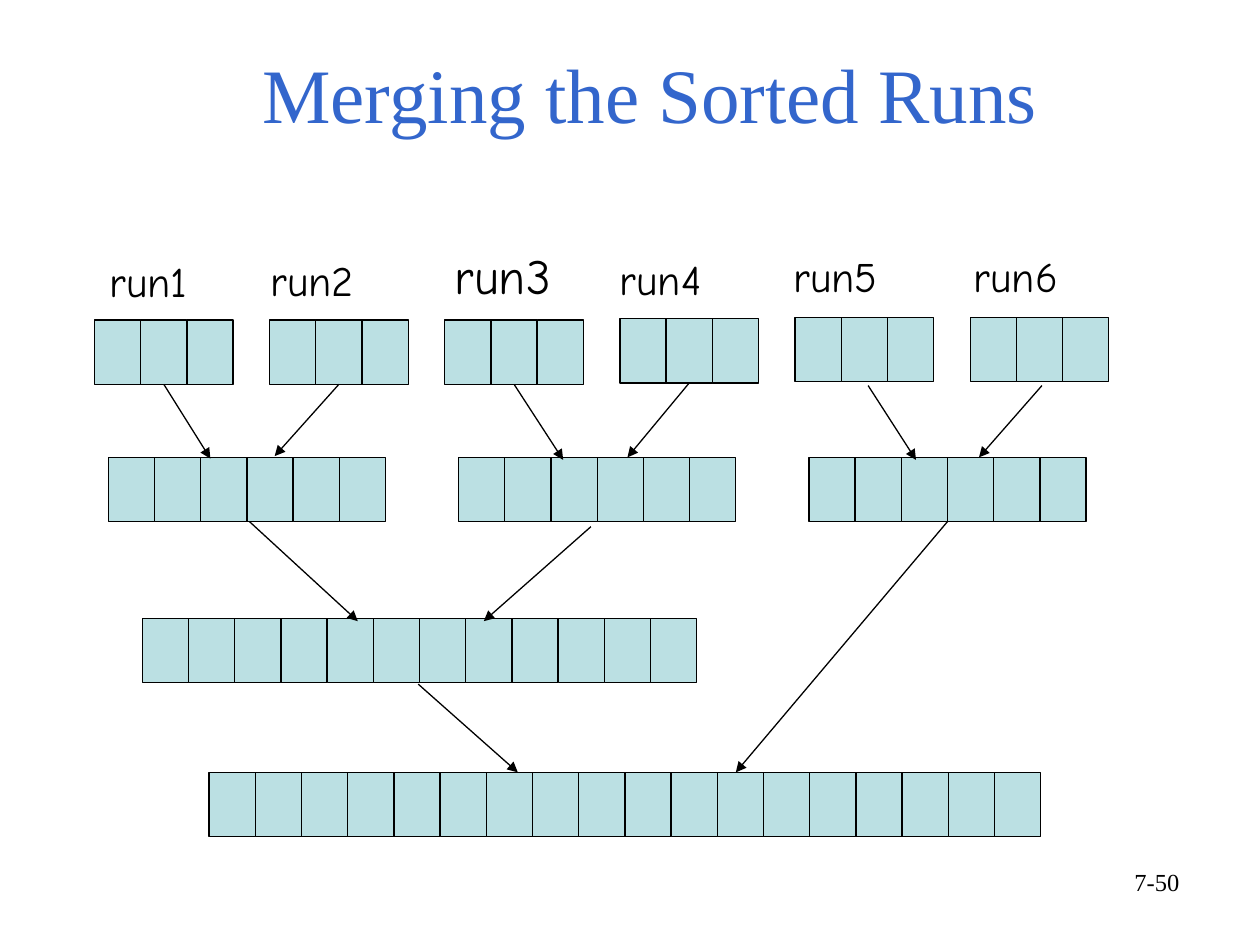
from lxml import etree
from pptx import Presentation
from pptx.dml.color import RGBColor
from pptx.enum.shapes import MSO_CONNECTOR, MSO_SHAPE
from pptx.enum.text import MSO_ANCHOR, MSO_AUTO_SIZE, PP_ALIGN
from pptx.oxml.ns import qn
from pptx.util import Inches, Pt

RECTANGLE = MSO_SHAPE.RECTANGLE
STRAIGHT = MSO_CONNECTOR.STRAIGHT
LEFT, CENTER, RIGHT = PP_ALIGN.LEFT, PP_ALIGN.CENTER, PP_ALIGN.RIGHT
TOP, BOTTOM = MSO_ANCHOR.TOP, MSO_ANCHOR.BOTTOM
FIXED, GROW = MSO_AUTO_SIZE.NONE, MSO_AUTO_SIZE.SHAPE_TO_FIT_TEXT
BOTTOM_SIDE = 2

BLOCK_CELLS = 3
BLOCK_WIDTH = 1.1
CELL_WIDTH = BLOCK_WIDTH / BLOCK_CELLS
CELL_HEIGHT = 0.51
RUN_LEFT, RUN_PITCH = 0.75, 1.39
RUN_TOPS = (2.54, 2.54, 2.54, 2.53, 2.52, 2.52)
PAIR_LEFT, PAIR_TOP = 0.86, 3.63
LABELS = (
    (0.77, 1.98, 1.52, 0.5, 24),
    (2.05, 1.97, 1.37, 0.5, 24),
    (3.51, 1.9, 1.37, 0.57, 28),
    (4.82, 1.96, 1.37, 0.5, 24),
    (6.2, 1.94, 1.37, 0.5, 24),
    (7.63, 1.94, 1.37, 0.5, 24),
)
RUN_ARROWS = (
    (1.29, 3.05, 1.67, 3.64),
    (2.67, 3.05, 2.18, 3.62),
    (4.09, 3.06, 4.47, 3.65),
    (5.47, 3.06, 4.98, 3.63),
    (6.89, 3.06, 7.27, 3.65),
    (8.27, 3.06, 7.77, 3.63),
)
JOINED_RUNS = 4
MERGE_ARROWS = (
    (1.98, 4.14, 2.84, 4.93),
    (4.69, 4.18, 3.84, 4.93),
    (3.32, 5.43, 4.11, 6.13),
    (7.52, 4.14, 5.84, 6.13),
)


def color(value):
    """Turn a hex string into a colour."""
    return RGBColor.from_string(value)


def apply_format(target, values):
    """Set each named attribute on the target."""
    for name, value in values.items():
        setattr(target, name, value)


def style_line(line):
    """Give an outline or arrow its thin black stroke."""
    line.color.rgb = color("000000")
    line.width = Pt(0.75)


def add_cell(group, left, top):
    """Add one record cell and return it."""
    cell = group.shapes.add_shape(
        RECTANGLE, *map(Inches, (left, top, CELL_WIDTH, CELL_HEIGHT))
    )
    cell.shadow.inherit = False
    cell.fill.solid()
    cell.fill.fore_color.rgb = color("BBE0E3")
    style_line(cell.line)
    return cell


def add_blocks(slide, left, top, count):
    """Add a row of grouped three-cell blocks and return its cells."""
    cells = []
    for block in range(count):
        group = slide.shapes.add_group_shape()
        for column in range(BLOCK_CELLS):
            offset = block * BLOCK_WIDTH + column * CELL_WIDTH
            cells.append(add_cell(group, left + offset, top))
    return cells


def add_arrow(slide, ends, source=None):
    """Add an arrow, joined to the source cell's bottom when one is given."""
    arrow = slide.shapes.add_connector(STRAIGHT, *map(Inches, ends))
    if source is not None:
        arrow.begin_connect(source, BOTTOM_SIDE)
    style_line(arrow.line)
    properties = arrow.line._get_or_add_ln()
    etree.SubElement(properties, qn("a:tailEnd"), type="triangle")
    etree.SubElement(arrow._element.spPr, qn("a:effectLst"))


def add_text(slide, words, place, font, size, ink="000000", align=LEFT, **frame_values):
    """Add a wrapping one-paragraph text box."""
    box = slide.shapes.add_textbox(*map(Inches, place))
    frame = box.text_frame
    apply_format(frame, {"word_wrap": True, "auto_size": FIXED,
                         "vertical_anchor": TOP, **frame_values})
    para = frame.paragraphs[0]
    para.alignment = align
    span = para.add_run()
    span.text = words
    apply_format(span.font, {"name": font, "size": Pt(size)})
    span.font.color.rgb = color(ink)


def main():
    """Build and save the merge diagram."""
    deck = Presentation()
    apply_format(deck, {"slide_width": Inches(10), "slide_height": Inches(7.5)})
    page = deck.slides.add_slide(deck.slide_layouts[6])

    add_text(page, "Merging the Sorted Runs", (0.75, 0.27, 8.82, 0.86),
             "Times New Roman", 44, "3366CC", CENTER,
             vertical_anchor=BOTTOM, margin_bottom=Inches(0.03))

    runs = [add_blocks(page, RUN_LEFT + index * RUN_PITCH, top, 1)
            for index, top in enumerate(RUN_TOPS)]
    for index in range(len(runs) // 2):
        add_blocks(page, PAIR_LEFT + index * 2 * RUN_PITCH, PAIR_TOP, 2)
    add_blocks(page, 1.13, 4.91, 4)
    add_blocks(page, 1.66, 6.13, 6)

    for number, (*place, size) in enumerate(LABELS, start=1):
        add_text(page, f"run{number}", place, "Comic Neue", size, auto_size=GROW)

    for index, ends in enumerate(RUN_ARROWS):
        add_arrow(page, ends, runs[index][1] if index < JOINED_RUNS else None)
    for ends in MERGE_ARROWS:
        add_arrow(page, ends)

    add_text(page, "7-50", (7.13, 6.83, 2.33, 0.52), "Times New Roman", 14, align=RIGHT)
    deck.save("out.pptx")


if __name__ == "__main__":
    main()
